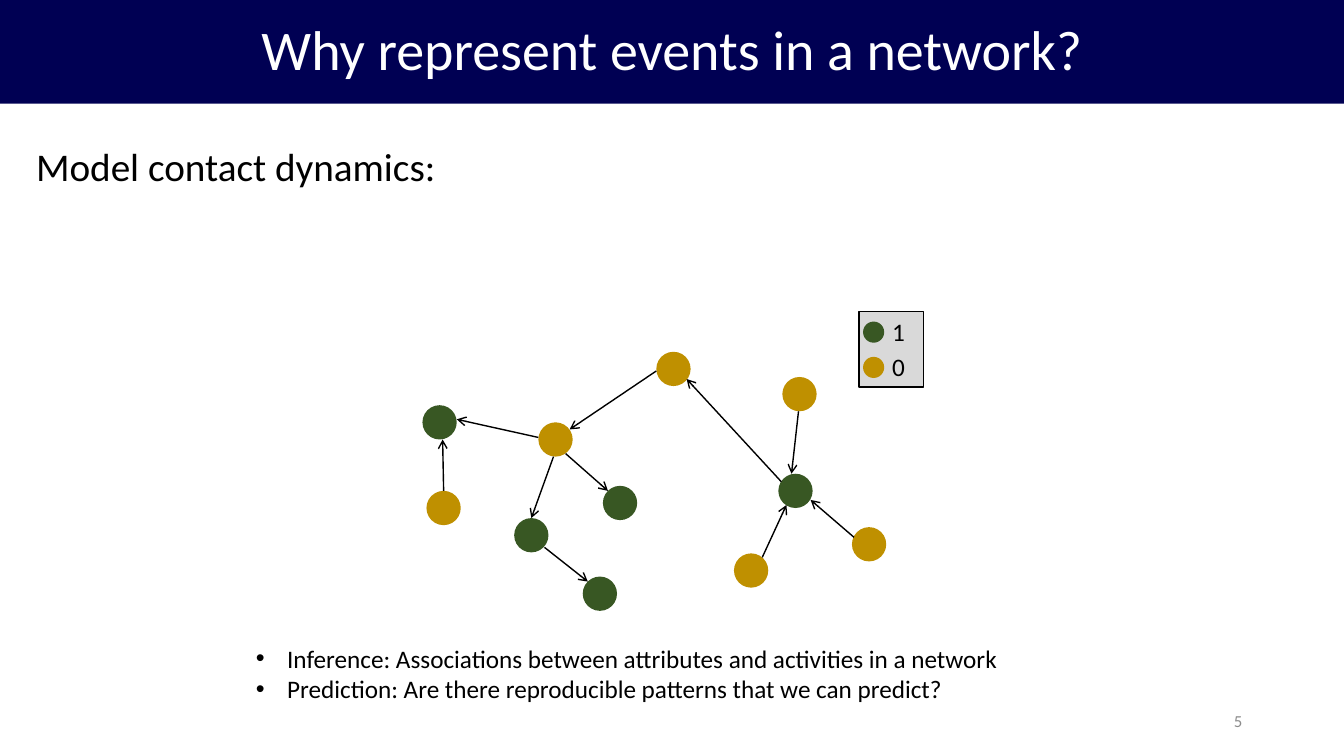
from lxml import etree
from pptx import Presentation
from pptx import util as u
from pptx.dml.color import RGBColor
from pptx.enum import shapes, text
from pptx.oxml.ns import qn

GREEN, GOLD, BLACK = "385723", "BF9000", "000000"
NODE, KEY = 0.34, 0.21

# Left and top of each node, by attribute value
NODES = {
    GREEN: [(5.1, 5.14), (5.78, 5.72), (7.72, 4.7), (4.19, 4.02), (5.98, 4.82)],
    GOLD: [(7.28, 5.49), (5.34, 4.19), (4.23, 4.87), (6.51, 3.49),
           (7.76, 3.74), (8.45, 5.23)],
}
# Each contact runs from its source to its arrowhead
CONTACTS = [
    ((5.34, 4.34), (4.53, 4.16)),
    ((4.4, 4.87), (4.39, 4.36)),
    ((5.49, 4.53), (5.27, 5.14)),
    ((5.61, 4.5), (6.03, 4.87)),
    ((6.51, 3.68), (5.65, 4.26)),
    ((5.4, 5.43), (5.83, 5.77)),
    ((7.75, 4.78), (6.81, 3.76)),
    ((7.56, 5.53), (7.8, 5.01)),
    ((7.92, 4.08), (7.85, 4.7)),
    ((8.47, 5.33), (8.04, 4.96)),
]
FINDINGS = [
    "Inference: Associations between attributes and activities in a network",
    "Prediction: Are there reproducible patterns that we can predict?",
]


def inches(values):
    return [u.Inches(value) for value in values]


def colour(hex_string):
    return RGBColor.from_string(hex_string)


def add_bullet(para, indent):
    properties = para._p.get_or_add_pPr()
    properties.set("marL", str(u.Inches(indent)))
    properties.set("indent", str(-u.Inches(indent)))
    font = etree.SubElement(properties, qn("a:buFont"))
    font.set("typeface", "Arial")
    etree.SubElement(properties, qn("a:buChar")).set("char", "•")


def write(box, lines, size, hex_string=BLACK, bullet=None, wrap=False,
          anchor=text.MSO_ANCHOR.TOP, **para_format):
    """Fill a box with one paragraph per line; bullet is the hanging indent."""
    frame = box.text_frame
    frame.word_wrap = wrap
    frame.vertical_anchor = anchor
    for index, line in enumerate(lines):
        para = frame.paragraphs[0] if index == 0 else frame.add_paragraph()
        if bullet:
            add_bullet(para, bullet)
        for name, value in para_format.items():
            setattr(para, name, value)
        span = para.add_run()
        span.text = line
        for name, value in {"name": "Calibri", "size": u.Pt(size)}.items():
            setattr(span.font, name, value)
        span.font.color.rgb = colour(hex_string)


def add_text(page, place, lines, size, **options):
    box = page.shapes.add_textbox(*inches(place))
    write(box, lines, size, **options)


def add_filled(page, kind, place, fill, line=None):
    shape = page.shapes.add_shape(kind, *inches(place))
    shape.shadow.inherit = False
    shape.fill.solid()
    shape.fill.fore_color.rgb = colour(fill)
    if line:
        shape.line.color.rgb = colour(line)
        shape.line.width = u.Pt(1)
    else:
        shape.line.fill.background()
    return shape


def add_dot(page, left, top, size, fill):
    add_filled(page, shapes.MSO_SHAPE.OVAL, (left, top, size, size), fill)


def add_arrow(page, start, end):
    arrow = page.shapes.add_connector(
        shapes.MSO_CONNECTOR.STRAIGHT, *inches(start + end))
    arrow.line.color.rgb = colour(BLACK)
    arrow.line.width = u.Pt(1)
    head = etree.SubElement(arrow.line._get_or_add_ln(), qn("a:tailEnd"))
    head.set("type", "arrow")
    etree.SubElement(arrow._element.spPr, qn("a:effectLst"))


def add_network(page):
    for fill, places in NODES.items():
        for left, top in places:
            add_dot(page, left, top, NODE, fill)
    for start, end in CONTACTS:
        add_arrow(page, start, end)


def add_legend(page):
    add_filled(page, shapes.MSO_SHAPE.RECTANGLE, (8.52, 3.09, 0.64, 0.75),
               "D9D9D9", BLACK)
    for row, (label, fill) in enumerate((("1", GREEN), ("0", GOLD))):
        top = 3.09 + 0.35 * row
        add_dot(page, 8.56, top + 0.1, KEY, fill)
        add_text(page, (8.75, top, 0.33, 0.4), [label], 18)


def add_title(page, title):
    banner = add_filled(page, shapes.MSO_SHAPE.RECTANGLE, (0, 0, 13.33, 1.03),
                        "000053")
    write(banner, [title], 40, "FFFFFF", wrap=True,
          anchor=text.MSO_ANCHOR.MIDDLE,
          alignment=text.PP_ALIGN.CENTER, line_spacing=0.9)


def main():
    deck = Presentation()
    deck.slide_width, deck.slide_height = inches((13.33, 7.5))
    page = deck.slides.add_slide(deck.slide_layouts[6])
    add_title(page, "Why represent events in a network?")
    add_text(page, (0.26, 1.36, 4.21, 0.57), ["Model contact dynamics:"], 28)
    add_network(page)
    add_legend(page)
    add_text(page, (2.44, 6.33, 7.65, 0.71), FINDINGS, 18, bullet=0.31)
    add_text(page, (9.42, 6.95, 3, 0.4), ["5"], 12, hex_string="8C8C8C",
             wrap=True, anchor=text.MSO_ANCHOR.MIDDLE,
             alignment=text.PP_ALIGN.RIGHT)
    deck.save("out.pptx")


if __name__ == "__main__":
    main()
